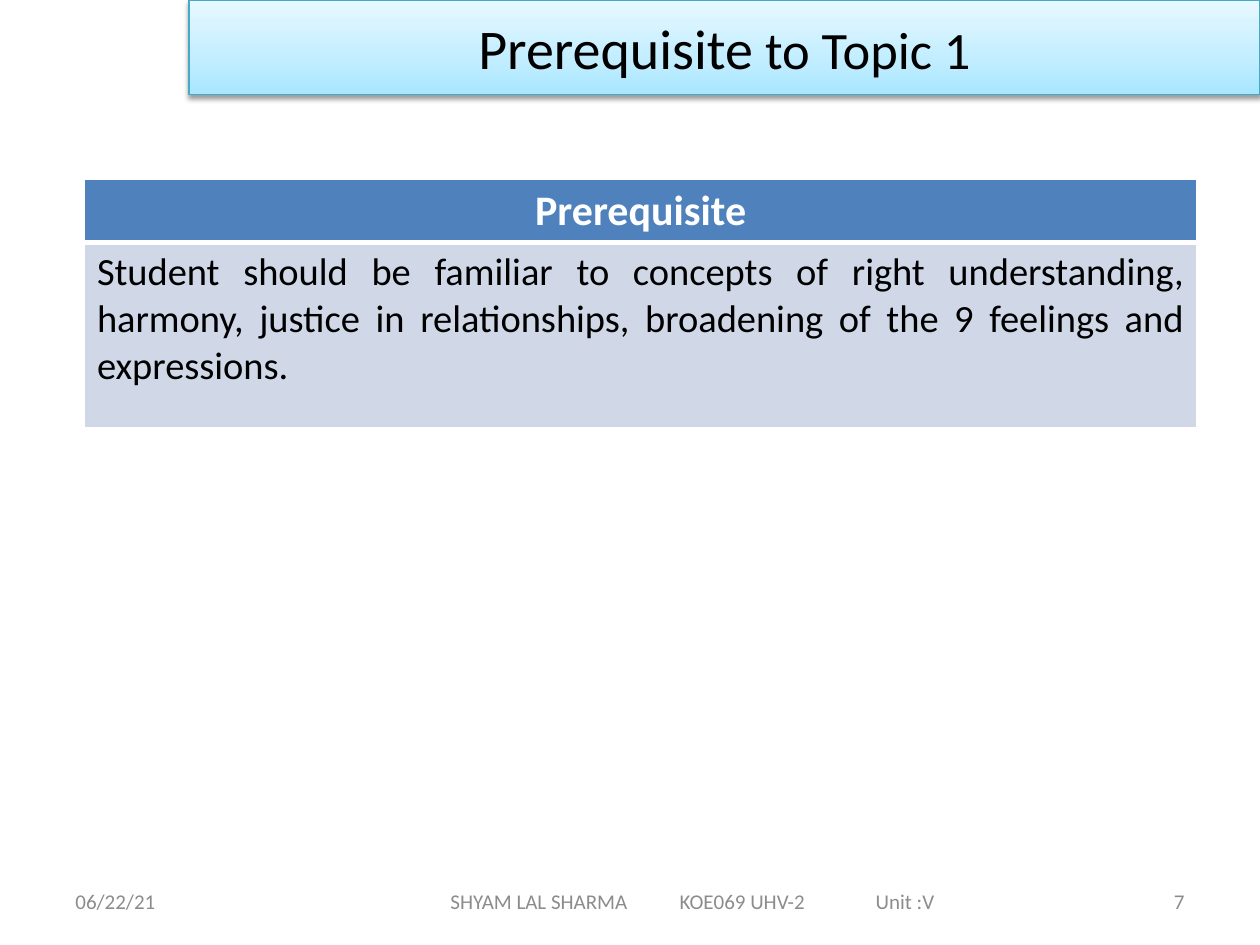
"""Build the prerequisite slide with its title banner, table and footer."""
from copy import deepcopy

from pptx import Presentation
from pptx.dml.color import RGBColor
from pptx.enum.shapes import MSO_SHAPE as Shape
from pptx.enum.text import MSO_ANCHOR as Anchor, PP_ALIGN as Align
from pptx.oxml import parse_xml
from pptx.oxml.ns import nsdecls, qn
from pptx.util import Pt

TITLE = [("Prerequisite", 32), (" to Topic 1", 30)]
BANNER_STOPS = [(0, "A7E6FF"), (0.35, "C1EDFF"), (1, "E7F8FF")]
HEADING = "Prerequisite"
REQUIREMENT = (
    "Student should be familiar to concepts of right understanding, harmony, "
    "justice in relationships, broadening of the 9 feelings and expressions."
)
COURSE = ["SHYAM LAL SHARMA", "KOE069 UHV-2", "Unit :V"]
COURSE_TABS = [131, 243]
FOOTER = [
    ("06/22/21", 36, 168, Align.LEFT, 7.2),
    ("\t".join(COURSE), 198, 396, Align.LEFT, 59.4),
    ("7", 516, 168, Align.RIGHT, 7.2),
]
ROW_HEIGHTS = [36.5, 105.5]


def rgb(value):
    return RGBColor.from_string(value)


def write(frame, text, size=12, color="000000", bold=False, align=Align.LEFT):
    paragraph = frame.paragraphs[0]
    paragraph.alignment = align
    run = paragraph.add_run()
    run.text = text
    run.font.name = "Calibri"
    run.font.size = Pt(size)
    run.font.bold = bold
    run.font.color.rgb = rgb(color)
    return paragraph


def add_footer(slide):
    for text, left, width, align, inset in FOOTER:
        box = slide.shapes.add_textbox(Pt(left), Pt(500.4), Pt(width), Pt(28.8))
        frame = box.text_frame
        frame.word_wrap = True
        frame.vertical_anchor = Anchor.MIDDLE
        frame.margin_left = Pt(inset)
        paragraph = write(frame, text, color="8C8C8C", align=align)
        if "\t" in text:
            stops = "".join(f'<a:tab pos="{Pt(stop)}" algn="l"/>' for stop in COURSE_TABS)
            tabs = parse_xml(f'<a:tabLst {nsdecls("a")}>{stops}</a:tabLst>')
            paragraph._p.get_or_add_pPr().append(tabs)


def add_banner(slide):
    banner = slide.shapes.add_shape(Shape.RECTANGLE, Pt(108), 0, Pt(612), Pt(54))
    banner.fill.gradient()
    banner.fill.gradient_angle = 90
    stop_list = banner._element.spPr.find(".//" + qn("a:gsLst"))
    stop_list.append(deepcopy(stop_list[0]))
    for stop, (position, color) in zip(banner.fill.gradient_stops, BANNER_STOPS):
        stop.position = position
        stop.color.rgb = rgb(color)
    banner.line.color.rgb = rgb("46AAC5")
    banner.line.width = Pt(0.75)
    banner._element.spPr.append(parse_xml(
        f'<a:effectLst {nsdecls("a")}><a:outerShdw blurRad="{Pt(3.1)}" dist="{Pt(1.6)}" '
        'dir="5400000" rotWithShape="0"><a:srgbClr val="000000"><a:alpha val="38000"/>'
        '</a:srgbClr></a:outerShdw></a:effectLst>'))
    banner.text_frame.word_wrap = True
    banner.text_frame.vertical_anchor = Anchor.MIDDLE
    for text, size in TITLE:
        write(banner.text_frame, text, size=size, align=Align.CENTER)


def style_cell(cell, fill, top, bottom):
    for side, width in (("L", 1), ("R", 1), ("T", top), ("B", bottom)):
        cell._tc.get_or_add_tcPr().append(parse_xml(
            f'<a:ln{side} {nsdecls("a")} w="{Pt(width)}"><a:solidFill>'
            f'<a:srgbClr val="FFFFFF"/></a:solidFill></a:ln{side}>'))
    cell.fill.solid()
    cell.fill.fore_color.rgb = rgb(fill)


def add_prerequisites(slide):
    table = slide.shapes.add_table(
        2, 1, Pt(48.24), Pt(102.24), Pt(635.76), Pt(sum(ROW_HEIGHTS))).table
    for row, height in zip(table.rows, ROW_HEIGHTS):
        row.height = Pt(height)
    heading, requirement = table.cell(0, 0), table.cell(1, 0)
    style_cell(heading, "4F81BD", top=1, bottom=3)
    style_cell(requirement, "D0D8E8", top=3, bottom=1)
    write(heading.text_frame, HEADING, size=24, color="FFFFFF", bold=True, align=Align.CENTER)
    write(requirement.text_frame, REQUIREMENT, size=22, align=Align.JUSTIFY)


def main():
    deck = Presentation()
    deck.slide_width, deck.slide_height = Pt(720), Pt(540)
    slide = deck.slides.add_slide(deck.slide_layouts[6])
    add_footer(slide)
    add_banner(slide)
    add_prerequisites(slide)
    deck.save("out.pptx")


if __name__ == "__main__":
    main()
